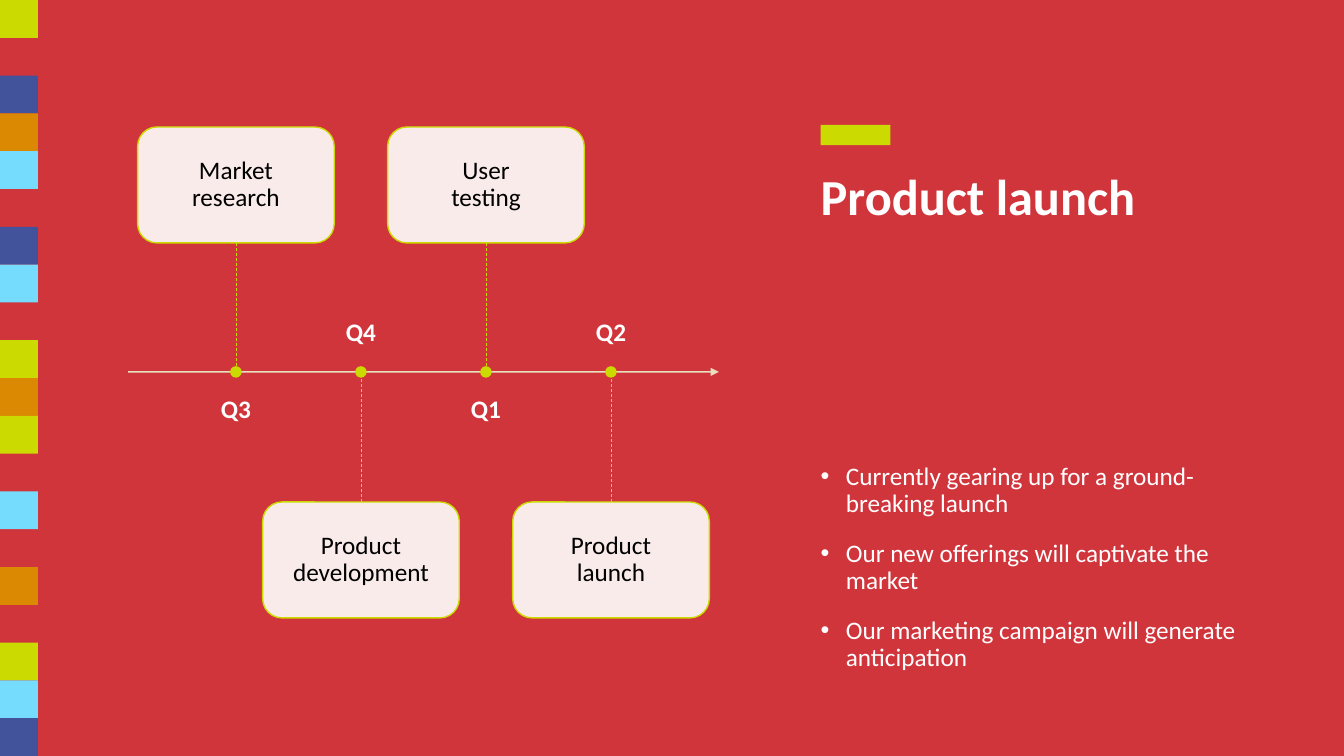
from dataclasses import dataclass

import lxml.etree
import pptx
import pptx.dml.color
import pptx.enum.dml
import pptx.enum.shapes
import pptx.enum.text
import pptx.oxml.ns
import pptx.util

Inches = pptx.util.Inches
Pt = pptx.util.Pt
qn = pptx.oxml.ns.qn
FORM = pptx.enum.shapes.MSO_SHAPE
ALIGN = pptx.enum.text.PP_ALIGN
ANCHOR = pptx.enum.text.MSO_ANCHOR

HUES = {
    "red": "D1353C",
    "lime": "CBDA00",
    "blue": "42529B",
    "orange": "DB8802",
    "sky": "76DCFD",
    "cream": "ECF1CC",
    "white": "FFFFFF",
    "black": "000000",
}
STRIPE = (
    "lime", None, "blue", "orange", "sky", None, "blue", "sky", None, "lime",
    "orange", "lime", None, "sky", None, "orange", None, "lime", "sky", "blue",
)
TILE = 7.5 / len(STRIPE)
AXIS_Y = 3.69
FIRST_X, STEP = 2.34, 1.24
CARD_W, CARD_H = 1.95, 1.15
LABEL_W, LABEL_H, LABEL_GAP = 1.88, 0.76, 0.25
DOT = 0.1
SIDE_X, SIDE_W = 8.14, 4.3


@dataclass(frozen=True)
class Box:
    left: float
    top: float
    width: float
    height: float

    def units(self) -> tuple:
        return tuple(map(Inches, (self.left, self.top, self.width, self.height)))


@dataclass(frozen=True)
class Stage:
    label: str
    text: str
    above: bool


STAGES = (
    Stage("Q3", "Market research", True),
    Stage("Q4", "Product development", False),
    Stage("Q1", "User\ntesting", True),
    Stage("Q2", "Product launch", False),
)
POINTS = (
    "Currently gearing up for a ground-breaking launch",
    "Our new offerings will captivate the market",
    "Our marketing campaign will generate anticipation",
)


def tint(name: str) -> pptx.dml.color.RGBColor:
    return pptx.dml.color.RGBColor.from_string(HUES[name])


def assign(item, values: dict) -> None:
    for key, value in values.items():
        setattr(item, key, value)


def fade(node, percent: int) -> None:
    shade = node.find(qn("a:solidFill")).find(qn("a:srgbClr"))
    lxml.etree.SubElement(shade, qn("a:alpha"), val=str(percent * 1000))


def add_form(slide, kind, box: Box, fill: str, edge: bool = False):
    shape = slide.shapes.add_shape(kind, *box.units())
    shape.shadow.inherit = False
    shape.fill.solid()
    shape.fill.fore_color.rgb = tint(fill)
    if edge:
        shape.line.color.rgb = tint("lime")
        shape.line.width = Pt(1)
    else:
        shape.line.fill.background()
    return shape


def add_line(slide, start: tuple, end: tuple, hue: str, width: float, dash):
    kind = pptx.enum.shapes.MSO_CONNECTOR.STRAIGHT
    line = slide.shapes.add_connector(kind, *map(Inches, start + end))
    line.line.color.rgb = tint(hue)
    assign(line.line, {"width": Pt(width), "dash_style": dash})
    lxml.etree.SubElement(line._element.spPr, qn("a:effectLst"))
    return line


def write(shape, texts: tuple, font: dict, para: dict, hue: str = "white",
          anchor=ANCHOR.TOP, inset: float = 0) -> None:
    frame = shape.text_frame
    edge = Inches(inset)
    assign(frame, {
        "word_wrap": True,
        "vertical_anchor": anchor,
        "margin_left": edge,
        "margin_top": edge,
        "margin_right": edge,
        "margin_bottom": edge,
    })
    for spot, text in enumerate(texts):
        line = frame.add_paragraph() if spot else frame.paragraphs[0]
        line.text = text
        assign(line, para)
        for run in line.runs:
            assign(run.font, {"name": "Calibri", **font})
            run.font.color.rgb = tint(hue)


def add_text(slide, box: Box, texts: tuple, font: dict, para: dict,
             anchor=ANCHOR.TOP):
    shape = slide.shapes.add_textbox(*box.units())
    write(shape, texts, font, para, anchor=anchor)
    return shape


def draw_stripe(slide) -> None:
    for row, hue in enumerate(STRIPE):
        if hue:
            add_form(slide, FORM.RECTANGLE, Box(0, row * TILE, TILE, TILE), hue)


def draw_axis(slide) -> None:
    axis = add_line(slide, (1.27, AXIS_Y), (7.13, AXIS_Y), "cream", 1,
                    pptx.enum.dml.MSO_LINE.SOLID)
    stroke = axis._element.spPr.find(qn("a:ln"))
    fade(stroke, 90)
    lxml.etree.SubElement(stroke, qn("a:tailEnd"), type="triangle")


def draw_stage(slide, stage: Stage, mid: float) -> None:
    center = {"alignment": ALIGN.CENTER, "line_spacing": 0.9}
    if stage.above:
        card_y, side = 1.26, 2
        label_y, anchor = AXIS_Y + LABEL_GAP, ANCHOR.TOP
    else:
        card_y, side = 4.98, 0
        label_y, anchor = AXIS_Y - LABEL_GAP - LABEL_H, ANCHOR.BOTTOM
    add_text(slide, Box(mid - LABEL_W / 2, label_y, LABEL_W, LABEL_H),
             (stage.label,), {"size": Pt(18), "bold": True}, center, anchor)
    card = add_form(slide, FORM.ROUNDED_RECTANGLE,
                    Box(mid - CARD_W / 2, card_y, CARD_W, CARD_H), "white", True)
    fade(card._element.spPr, 90)
    write(card, (stage.text,), {"size": Pt(18)}, center, "black",
          ANCHOR.MIDDLE, 0.2)
    edge_y = card_y + CARD_H if stage.above else card_y
    link = add_line(slide, (mid, edge_y), (mid, AXIS_Y), "lime", 0.5,
                    pptx.enum.dml.MSO_LINE.DASH)
    link.begin_connect(card, side)
    add_form(slide, FORM.OVAL, Box(mid - DOT / 2, AXIS_Y - DOT / 2, DOT, DOT),
             "lime", True)


def draw_side(slide) -> None:
    add_form(slide, FORM.RECTANGLE, Box(SIDE_X, 1.24, 0.69, 0.2), "lime")
    add_text(slide, Box(SIDE_X, 1.75, SIDE_W, 2.7), ("Product launch",),
             {"size": Pt(36), "bold": True}, {"line_spacing": 0.8})
    body = add_text(slide, Box(SIDE_X, 4.6, SIDE_W, 2.2), POINTS,
                    {"size": Pt(18)},
                    {"line_spacing": 0.9, "space_before": Pt(16)})
    dent = Inches(0.25)
    for line in body.text_frame.paragraphs:
        props = line._p.get_or_add_pPr()
        props.set("marL", str(dent))
        props.set("indent", str(-dent))
        lxml.etree.SubElement(props, qn("a:buFont"), typeface="Arial")
        lxml.etree.SubElement(props, qn("a:buChar"), char="•")


def main() -> None:
    deck = pptx.Presentation()
    assign(deck, {"slide_width": Inches(13.33), "slide_height": Inches(7.5)})
    slide = deck.slides.add_slide(deck.slide_layouts[6])
    slide.background.fill.solid()
    slide.background.fill.fore_color.rgb = tint("red")
    draw_stripe(slide)
    draw_side(slide)
    draw_axis(slide)
    for spot, stage in enumerate(STAGES):
        draw_stage(slide, stage, FIRST_X + spot * STEP)
    deck.save("out.pptx")


if __name__ == "__main__":
    main()
